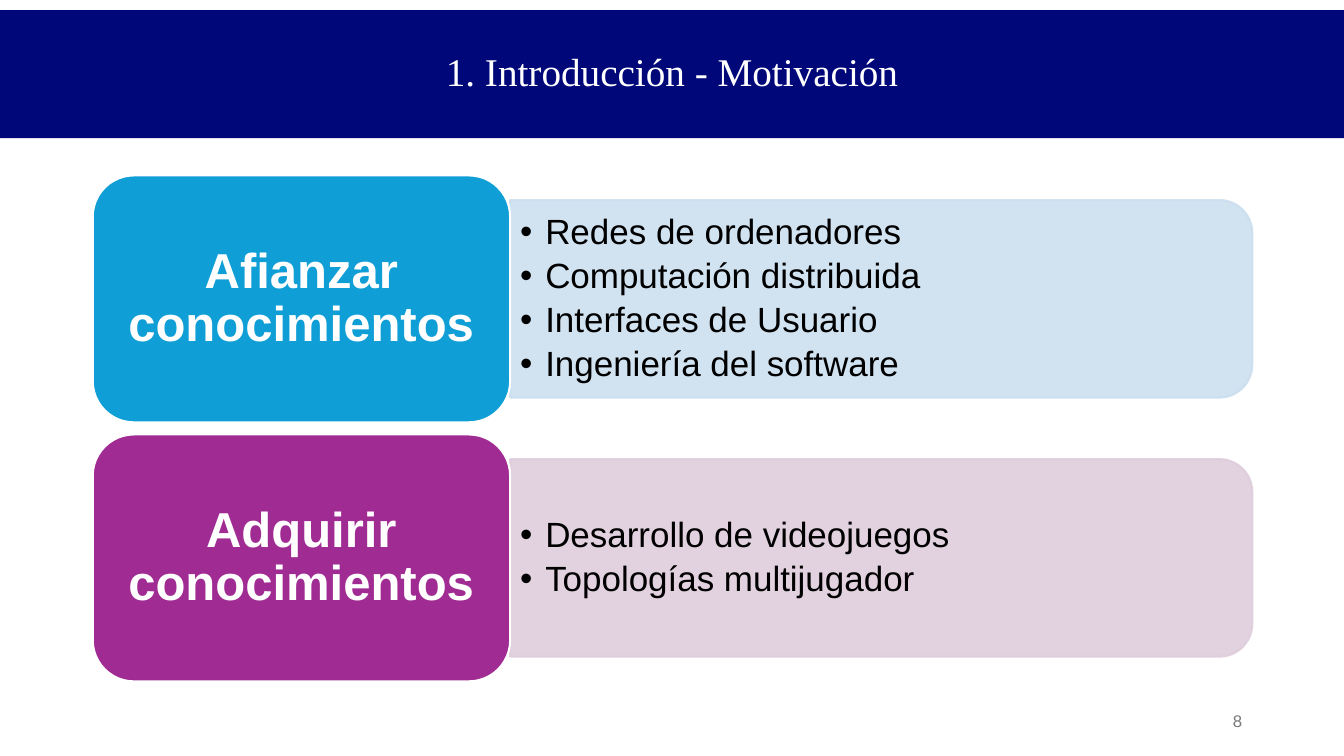
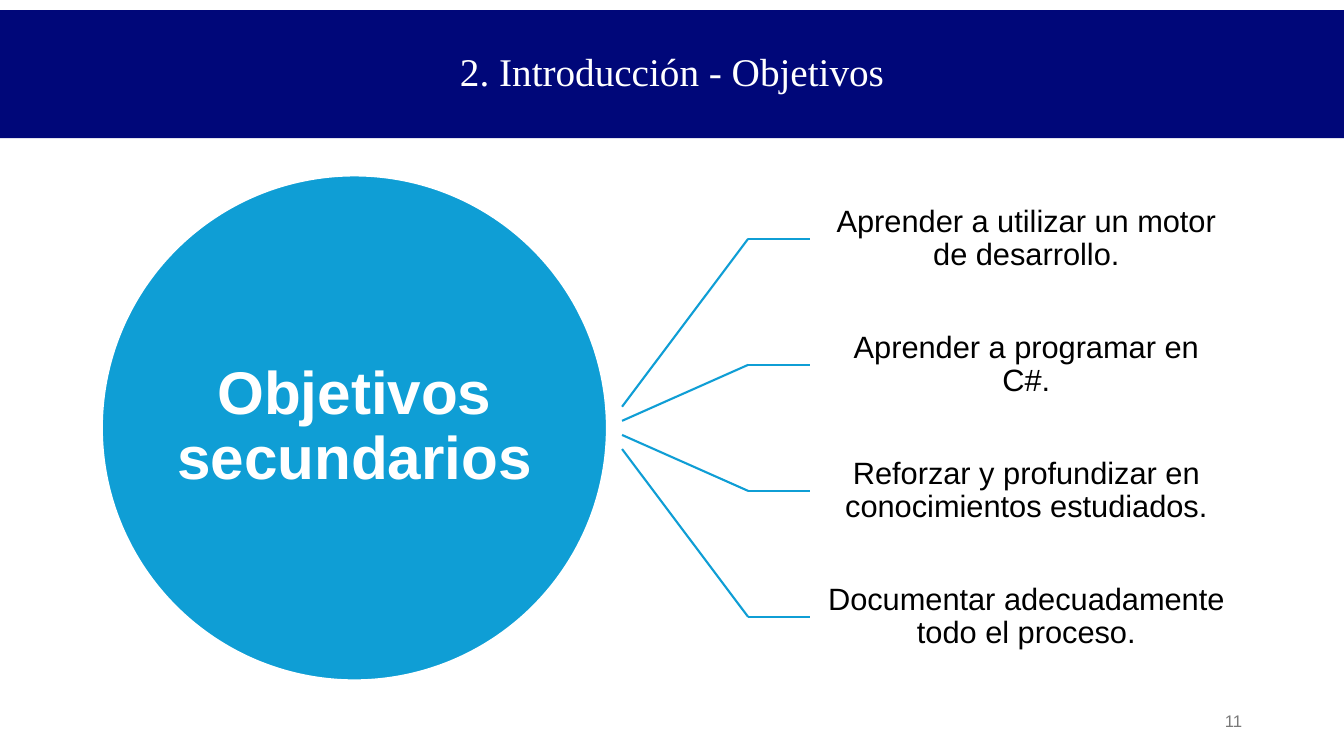
from pptx import Presentation
from pptx.dml.color import RGBColor
from pptx.enum.shapes import MSO_CONNECTOR as Connector, MSO_SHAPE as Shape
from pptx.enum.text import MSO_ANCHOR as Anchor, MSO_AUTO_SIZE as AutoSize, PP_ALIGN as Align
from pptx.oxml.ns import qn
from pptx.util import Inches, Pt
from lxml.etree import SubElement

NAVY = RGBColor(0x00, 0x07, 0x79)
WHITE = RGBColor(0xFF, 0xFF, 0xFF)
BLACK = RGBColor(0x00, 0x00, 0x00)
GRAY = RGBColor(0x79, 0x79, 0x79)
BLUE = RGBColor(0x0F, 0x9E, 0xD5)
PALE_BLUE = RGBColor(0xCC, 0xDF, 0xEF)
PURPLE = RGBColor(0xA0, 0x2B, 0x93)
PALE_PURPLE = RGBColor(0xDF, 0xCD, 0xDC)

SLIDE_WIDTH = 13.33
CONTENT_TOP = 1.74
LINE_WIDTH = 1.5


def add_bullet(paragraph):
    properties = paragraph._p.get_or_add_pPr()
    properties.set("marL", str(Inches(0.25)))
    properties.set("indent", str(-Inches(0.25)))
    SubElement(properties, qn("a:buFont")).set("typeface", "Arial")
    SubElement(properties, qn("a:buChar")).set("char", "•")


def write(shape, *lines, size, color, font="Arial", bold=False, align=Align.CENTER,
          insets=(0.1, 0.05), bullets=False, line_spacing=0.9, space_after=0):
    frame = shape.text_frame
    frame.word_wrap = True
    frame.auto_size = AutoSize.NONE
    frame.vertical_anchor = Anchor.MIDDLE
    frame.margin_left = frame.margin_right = Inches(insets[0])
    frame.margin_top = frame.margin_bottom = Inches(insets[1])
    for index, line in enumerate(lines):
        paragraph = frame.add_paragraph() if index else frame.paragraphs[0]
        paragraph.text = line
        paragraph.alignment = align
        paragraph.line_spacing = line_spacing
        paragraph.space_before = Pt(0)
        paragraph.space_after = Pt(space_after)
        if bullets:
            add_bullet(paragraph)
        paragraph.font.name = font
        paragraph.font.size = Pt(size)
        paragraph.font.bold = bold
        paragraph.font.color.rgb = color


def add_box(slide, kind, left, top, width, height, fill, line=None):
    shape = slide.shapes.add_shape(kind, *map(Inches, (left, top, width, height)))
    shape.shadow.inherit = False
    shape.fill.solid()
    shape.fill.fore_color.rgb = fill
    if line is None:
        shape.line.fill.background()
    else:
        shape.line.color.rgb = line
        shape.line.width = Pt(LINE_WIDTH)
    return shape


def add_text(slide, left, top, width, height, *lines, **text_format):
    box = slide.shapes.add_textbox(*map(Inches, (left, top, width, height)))
    write(box, *lines, **text_format)
    return box


def add_line(slide, start_x, start_y, end_x, end_y):
    line = slide.shapes.add_connector(
        Connector.STRAIGHT, *map(Inches, (start_x, start_y, end_x, end_y)))
    line.line.color.rgb = BLUE
    line.line.width = Pt(LINE_WIDTH)
    SubElement(line._element.spPr, qn("a:effectLst"))
    return line


def set_opacity(shape, percent):
    for color in shape._element.spPr.iter(qn("a:srgbClr")):
        SubElement(color, qn("a:alpha")).set("val", str(percent * 1000))


def add_slide(presentation, title_text, number):
    slide = presentation.slides.add_slide(presentation.slide_layouts[5])
    title = slide.shapes.title
    title.left, title.top, title.width, title.height = map(Inches, (2.29, 0.13, 8.75, 1.2))
    write(title, title_text, size=28, color=WHITE, font="Times New Roman")
    band = add_box(slide, Shape.RECTANGLE, 0, 0.1, SLIDE_WIDTH, 1.27, NAVY)
    title._element.addprevious(band._element)
    add_text(slide, 9.42, 6.95, 3, 0.4, str(number), size=12, color=GRAY,
             align=Align.RIGHT, line_spacing=1)
    return slide


def add_topic(slide, top, heading, items, fill, pale):
    card_left, card_width, card_height = 0.92, 4.14, 2.45
    panel_width, panel_height = 7.36, 1.96
    panel_left = card_left + card_width
    center_x = panel_left + panel_width / 2
    center_y = top + card_height / 2
    panel = add_box(slide, Shape.ROUND_2_SAME_RECTANGLE, center_x - panel_height / 2,
                    center_y - panel_width / 2, panel_height, panel_width, pale, pale)
    panel.rotation = 90
    set_opacity(panel, 90)
    add_text(slide, panel_left, center_y - 0.88, 7.26, 1.77, *items, size=25, color=BLACK,
             align=Align.LEFT, bullets=True, space_after=4.5)
    card = add_box(slide, Shape.ROUNDED_RECTANGLE, card_left, top, card_width, card_height,
                   fill, WHITE)
    write(card, heading, size=35, color=WHITE, bold=True, insets=(0.15, 0.07))


def add_goals(slide, heading, goals):
    diameter, row_height, fan_gap = 5.01, 1.25, 0.14
    fan_x, bend_x, text_x = 6.17, 7.42, 8.03
    circle = add_box(slide, Shape.OVAL, 1.01, CONTENT_TOP, diameter, diameter, BLUE, WHITE)
    write(circle, heading, size=43, color=WHITE, bold=True, insets=(0, 0))
    center_y = CONTENT_TOP + diameter / 2
    for index, goal in enumerate(goals):
        offset = index - (len(goals) - 1) / 2
        row_y = center_y + offset * row_height
        add_line(slide, fan_x, center_y + offset * fan_gap, bend_x, row_y)
        stub = add_line(slide, bend_x, row_y, text_x, row_y)
        label = add_text(slide, text_x, row_y - row_height / 2, 4.3, row_height, goal,
                         size=22, color=BLACK, insets=(0.17, 0.17))
        stub.end_connect(label, 1)


def main():
    presentation = Presentation()
    presentation.slide_width = Inches(SLIDE_WIDTH)
    presentation.slide_height = Inches(7.5)

    motivation = add_slide(presentation, "1. Introducción - Motivación", 8)
    topics = [
        ("Afianzar conocimientos",
         ["Redes de ordenadores", "Computación distribuida", "Interfaces de Usuario",
          "Ingeniería del software"], BLUE, PALE_BLUE),
        ("Adquirir conocimientos",
         ["Desarrollo de videojuegos", "Topologías multijugador"], PURPLE, PALE_PURPLE),
    ]
    for index, topic in enumerate(topics):
        add_topic(motivation, CONTENT_TOP + index * 2.57, *topic)

    objectives = add_slide(presentation, "2. Introducción - Objetivos", 11)
    add_goals(objectives, "Objetivos secundarios", [
        "Aprender a utilizar un motor de desarrollo.",
        "Aprender a programar en C#.",
        "Reforzar y profundizar en conocimientos estudiados.",
        "Documentar adecuadamente todo el proceso.",
    ])

    presentation.save("out.pptx")


if __name__ == "__main__":
    main()
